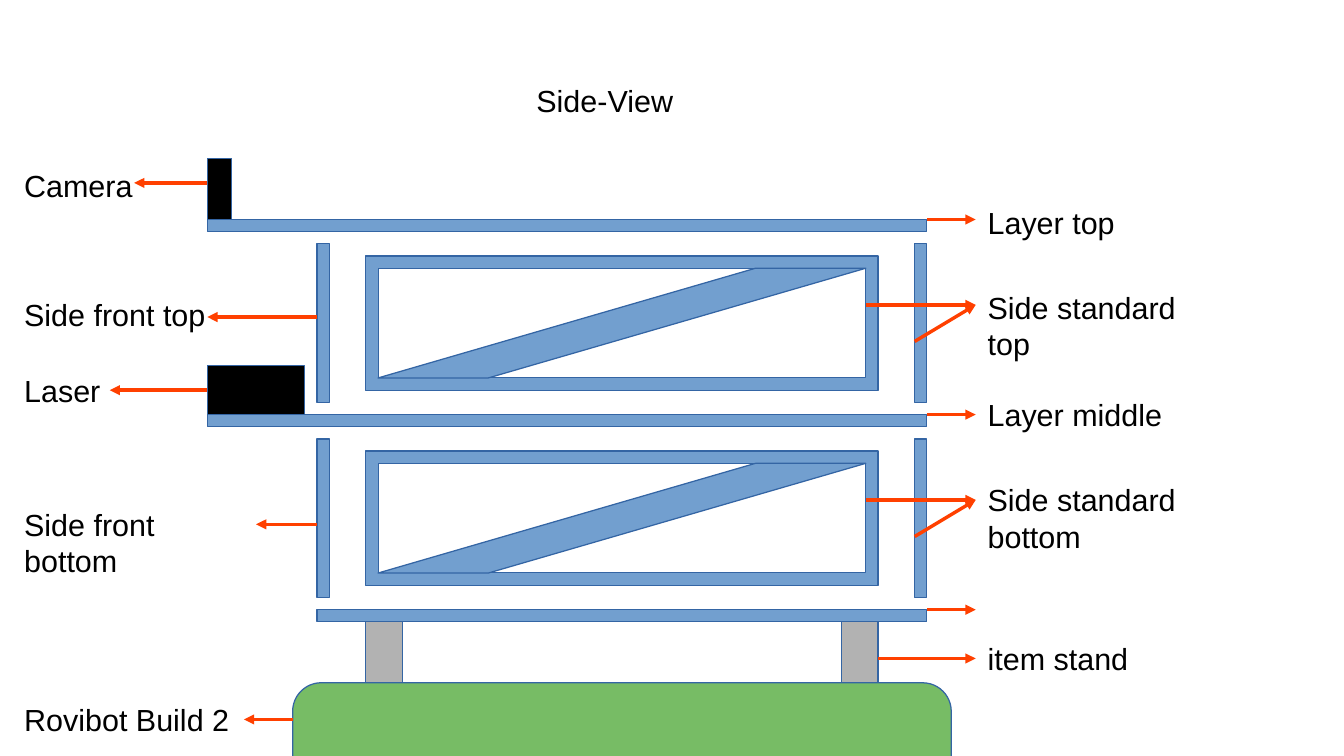
import dataclasses

import pptx
import pptx.dml.color
import pptx.enum.shapes
import pptx.enum.text
import pptx.oxml.ns
import pptx.util
from lxml import etree

SHAPES = pptx.enum.shapes.MSO_SHAPE
GRID = 7.2
LEVEL_HEIGHT = 16
LEFT_LABEL = 1
RIGHT_LABEL = 80


@dataclasses.dataclass(frozen=True)
class Theme:
    font: str = "Arial"
    text_size: float = 18
    hairline: float = 0
    text: str = "000000"
    panel: str = "729FCF"
    outline: str = "3465A4"
    arrow: str = "FF4000"
    device: str = "000000"
    stand: str = "B2B2B2"
    robot: str = "77BC65"


THEME = Theme()


def grid(units):
    return pptx.util.Pt(round(units * GRID, 2))


def color(value):
    return pptx.dml.color.RGBColor.from_string(value)


def add_part(slide, box, fill=THEME.panel, kind=SHAPES.RECTANGLE, adjustment=None):
    shape = slide.shapes.add_shape(kind, *map(grid, box))
    if adjustment is not None:
        shape.adjustments[0] = adjustment
    shape.shadow.inherit = False
    shape.fill.solid()
    shape.fill.fore_color.rgb = color(fill)
    shape.line.color.rgb = color(THEME.outline)
    shape.line.width = pptx.util.Pt(THEME.hairline)
    return shape


def add_label(slide, text, left, top, width, height=3.8):
    shape = slide.shapes.add_textbox(*map(grid, (left, top, width, height)))
    text_frame = shape.text_frame
    text_frame.word_wrap = True
    text_frame.auto_size = pptx.enum.text.MSO_AUTO_SIZE.SHAPE_TO_FIT_TEXT
    text_frame.text = text
    font = text_frame.paragraphs[0].runs[0].font
    font.name = THEME.font
    font.size = pptx.util.Pt(THEME.text_size)
    font.color.rgb = color(THEME.text)


def add_arrow(slide, start, end):
    connector = slide.shapes.add_connector(
        pptx.enum.shapes.MSO_CONNECTOR.STRAIGHT, *map(grid, (*start, *end))
    )
    connector.line.color.rgb = color(THEME.arrow)
    connector.line.width = pptx.util.Pt(THEME.hairline)
    qualified = pptx.oxml.ns.qn
    line = connector.line._get_or_add_ln()
    etree.SubElement(line, qualified("a:tailEnd")).set("type", "triangle")
    etree.SubElement(connector._element.spPr, qualified("a:effectLst"))
    return connector


def add_level(slide, top):
    add_part(slide, (17, top, 59, 1))
    for left in (26, 75):
        add_part(slide, (left, top + 2, 1, 13))
    add_part(slide, (30, top + 3, 42, 11), kind=SHAPES.FRAME, adjustment=0.093)
    add_part(slide, (31, top + 4, 40, 9), kind=SHAPES.PARALLELOGRAM, adjustment=3.44)
    add_arrow(slide, (76, top), (RIGHT_LABEL, top))
    for start in ((71, top + 7), (75, top + 10)):
        add_arrow(slide, start, (RIGHT_LABEL, top + 7))


def add_base(slide):
    add_part(slide, (26, 50, 50, 1))
    for left in (30, 69):
        add_part(slide, (left, 51, 3, 5), THEME.stand)
    add_part(slide, (24, 56, 54, 14), THEME.robot, SHAPES.ROUNDED_RECTANGLE, 0.167)
    add_arrow(slide, (76, 50), (RIGHT_LABEL, 50))
    add_arrow(slide, (72, 54), (RIGHT_LABEL, 54))
    add_arrow(slide, (24, 59), (20, 59))


def add_devices(slide):
    add_part(slide, (17, 13, 2, 5), THEME.device)
    add_arrow(slide, (17, 15), (11, 15))
    laser = add_part(slide, (17, 30, 8, 4), THEME.device)
    add_arrow(slide, (17, 32), (9, 32)).begin_connect(laser, 1)


def add_labels(slide):
    add_label(slide, "Side-View", 43, 6.2, 15)
    for text, top, width, height in (
        ("Camera", 13.2, 11, 3.8),
        ("Side front top", 23.8, 18, 3.8),
        ("Laser", 30, 9, 3.8),
        ("Side front bottom", 41, 20, 6.6),
        ("Rovibot Build 2", 57, 20, 4),
    ):
        add_label(slide, text, LEFT_LABEL, top, width, height)
    for text, top, height in (
        ("Layer top", 16.2, 3.8),
        ("Side standard top", 23.2, 6.6),
        ("Layer middle", 32, 3.8),
        ("Side standard bottom", 39, 6.6),
        ("item stand", 52, 3.8),
    ):
        add_label(slide, text, RIGHT_LABEL, top, 18, height)


def main():
    presentation = pptx.Presentation()
    presentation.slide_width = grid(110.2)
    presentation.slide_height = grid(62)
    slide = presentation.slides.add_slide(presentation.slide_layouts[6])
    for level in range(2):
        add_level(slide, 18 + level * LEVEL_HEIGHT)
    add_base(slide)
    add_devices(slide)
    add_arrow(slide, (26, 26), (17, 26))
    add_arrow(slide, (26, 43), (21, 43))
    add_labels(slide)
    presentation.save("out.pptx")


if __name__ == "__main__":
    main()
